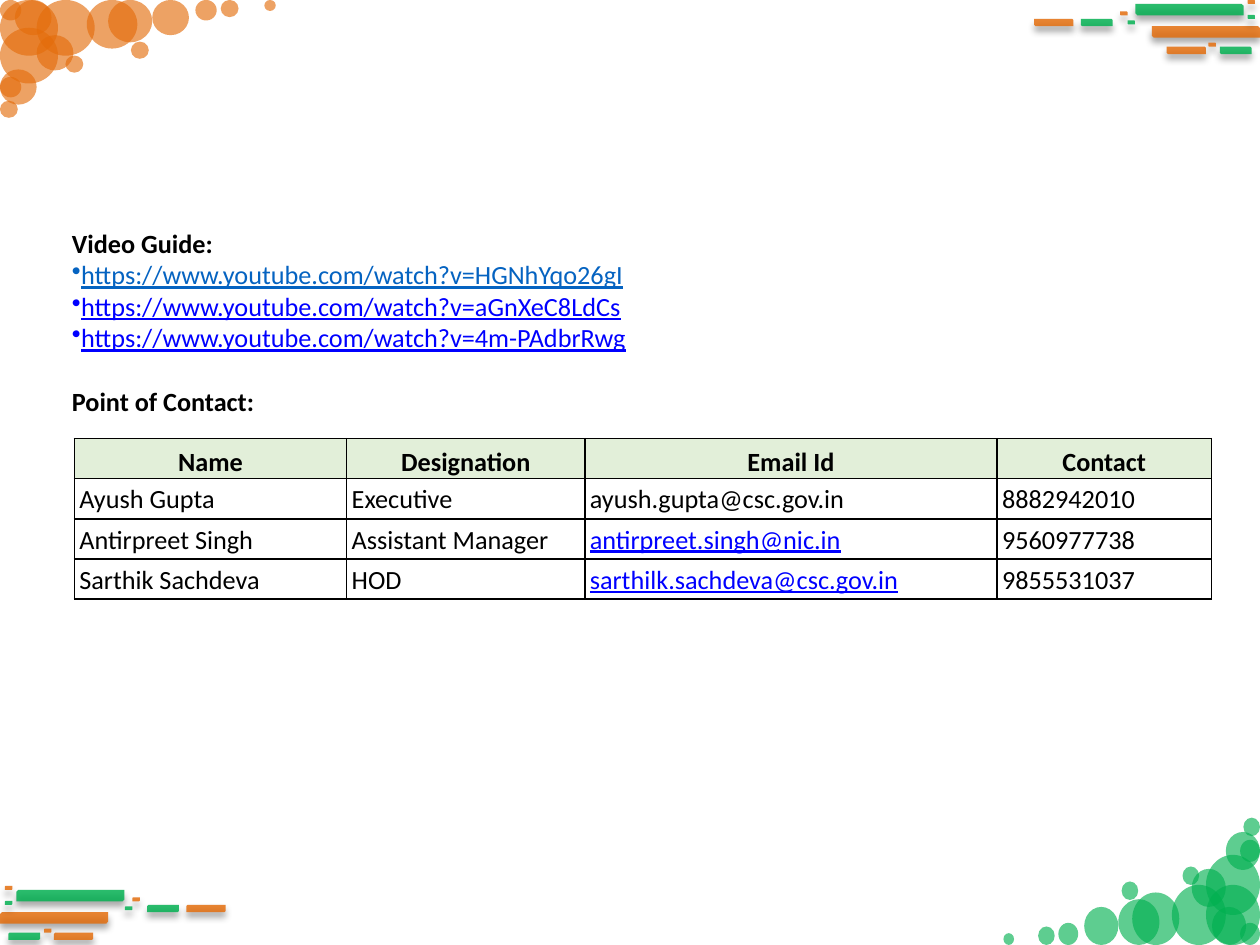
from lxml.etree import SubElement
from pptx import Presentation
from pptx.dml.color import RGBColor
from pptx.enum.shapes import MSO_SHAPE
from pptx.enum.text import MSO_ANCHOR, PP_ALIGN
from pptx.oxml.ns import qn
from pptx.util import Cm, Pt

GREEN = RGBColor(0x00, 0xB0, 0x50)
ORANGE = RGBColor(0xE4, 0x6C, 0x0A)
BLACK = RGBColor(0x00, 0x00, 0x00)
LINK_BLUE = RGBColor(0x00, 0x00, 0xFF)
LINK_TEAL = RGBColor(0x05, 0x63, 0xC1)
HEADER_FILL = RGBColor(0xE2, 0xEF, 0xD9)

SLIDE_W, SLIDE_H = 25.4, 19.05

# Content
HEADING = dict(bold=True, underline=False)
LINK = dict(bold=False, underline=True)
GUIDE = [  # text, format, colour, bulleted, space before
    ("Video Guide:", HEADING, BLACK, False, 0),
    ("https://www.youtube.com/watch?v=HGNhYqo26gI", LINK, LINK_TEAL, True, 0),
    ("https://www.youtube.com/watch?v=aGnXeC8LdCs", LINK, LINK_BLUE, True, 0),
    ("https://www.youtube.com/watch?v=4m-PAdbrRwg", LINK, LINK_BLUE, True, 0),
    ("Point of Contact:", HEADING, BLACK, False, 18.3),
]
CONTACTS = [
    ("Name", "Designation", "Email Id", "Contact"),
    ("Ayush Gupta", "Executive", "ayush.gupta@csc.gov.in", "8882942010"),
    ("Antirpreet Singh", "Assistant Manager", "antirpreet.singh@nic.in", "9560977738"),
    ("Sarthik Sachdeva", "HOD", "sarthilk.sachdeva@csc.gov.in", "9855531037"),
]
LINKED_EMAILS = {(2, 2), (3, 2)}
COLUMN_WIDTHS = (5.49, 4.8, 8.31, 4.32)
ROW_HEIGHT = 0.81

# Corner bars: left, top, size, colour (top right corner, in cm)
LONG, MIDDLE, SHORT, TINY = (2.18, 0.23), (0.79, 0.15), (0.64, 0.15), (0.15, 0.08)
BARS = [
    (22.89, 0.08, LONG, GREEN), (23.22, 0.53, LONG, ORANGE),
    (21.79, 0.38, SHORT, GREEN), (24.59, 0.94, SHORT, GREEN),
    (23.52, 0.94, MIDDLE, ORANGE), (20.85, 0.38, MIDDLE, ORANGE),
    (22.58, 0.23, TINY, ORANGE), (22.73, 0.41, TINY, GREEN),
    (24.36, 0.86, TINY, ORANGE), (25.15, 0.3, TINY, GREEN),
    (25.15, 0, TINY, ORANGE),
]
LOWER_BARS_DROP = 17.86

# Corner bubbles: left, top, width (top left corner, in cm)
BUBBLES = [
    (0.74, 0, 1.17), (1.75, 0, 1.02), (0.74, 0.71, 0.74), (2.18, 0, 0.89),
    (3.07, 0, 0.74), (0.3, 0, 0.74), (3.94, 0, 0.43), (0, 1.55, 0.43),
    (2.64, 0.84, 0.36), (1.32, 1.12, 0.36), (0, 2.03, 0.36), (5.33, 0, 0.23),
    (4.45, 0, 0.36), (0, 0, 0.43), (0, 0.56, 1.17), (0, 1.4, 0.74), (0, 0, 1.17),
]
BUBBLE_RATIO = 0.96
GREEN_SCALE_X, GREEN_SCALE_Y = 0.93, 1.08


def set_format(target, values):
    for attribute, value in values.items():
        setattr(target, attribute, value)


def add_alpha(colour_element, percent):
    SubElement(colour_element, qn("a:alpha"), val=str(percent * 1000))


def add_ornament(slide, preset, box, colour, opacity):
    ornament = slide.shapes.add_shape(preset, *map(Cm, box))
    ornament.shadow.inherit = False
    ornament.fill.solid()
    ornament.fill.fore_color.rgb = colour
    ornament.line.fill.background()
    add_alpha(ornament._element.spPr.find(".//" + qn("a:srgbClr")), opacity)
    return ornament


def add_bar(slide, left, top, size, colour, mirrored):
    bar = add_ornament(slide, MSO_SHAPE.SNIP_2_DIAG_RECTANGLE,
                       (left, top, *size), colour, 83)
    properties = bar._element.spPr
    if mirrored:
        properties.xfrm.set("flipH", "1")
    shadow = SubElement(properties.find(qn("a:effectLst")), qn("a:outerShdw"),
                        blurRad=str(Pt(4)), dist=str(Pt(3)), dir="5400000",
                        algn="t", rotWithShape="0")
    add_alpha(SubElement(shadow, qn("a:srgbClr"), val=str(BLACK)), 40)


def add_corners(slide):
    for left, top, size, colour in BARS:
        add_bar(slide, left, top, size, colour, False)
        add_bar(slide, SLIDE_W - left - size[0], top + LOWER_BARS_DROP,
                size, colour, True)
    for left, top, width in BUBBLES:
        height = width * BUBBLE_RATIO
        add_ornament(slide, MSO_SHAPE.OVAL, (left, top, width, height), ORANGE, 63)
        # The green cluster is the orange one turned into the opposite corner
        green_box = (SLIDE_W - GREEN_SCALE_X * (left + width),
                     SLIDE_H - GREEN_SCALE_Y * (top + height),
                     GREEN_SCALE_X * width, GREEN_SCALE_Y * height)
        add_ornament(slide, MSO_SHAPE.OVAL, green_box, GREEN, 63)


def write(paragraph, text, font_format, colour):
    run = paragraph.add_run()
    run.text = text
    set_format(run.font, dict(name="Calibri", size=Pt(15), **font_format))
    run.font.color.rgb = colour


def add_borders(cell):
    for side in ("lnL", "lnR", "lnT", "lnB"):
        border = SubElement(cell._tc.get_or_add_tcPr(), qn("a:" + side), w=str(Pt(1)))
        fill = SubElement(border, qn("a:solidFill"))
        SubElement(fill, qn("a:srgbClr"), val=str(BLACK))


def add_contacts(slide):
    contacts = slide.shapes.add_table(
        len(CONTACTS), len(COLUMN_WIDTHS), Cm(1.5), Cm(8.84),
        Cm(sum(COLUMN_WIDTHS)), Cm(ROW_HEIGHT * len(CONTACTS))).table
    set_format(contacts, dict(first_row=False, horz_banding=False))
    for column, width in zip(contacts.columns, COLUMN_WIDTHS):
        column.width = Cm(width)
    for r, entry in enumerate(CONTACTS):
        contacts.rows[r].height = Cm(ROW_HEIGHT)
        header = r == 0
        for c, text in enumerate(entry):
            cell = contacts.cell(r, c)
            set_format(cell, dict(
                margin_left=Cm(0.1), margin_right=Cm(0.1), margin_top=0, margin_bottom=0,
                vertical_anchor=MSO_ANCHOR.BOTTOM if header else MSO_ANCHOR.MIDDLE))
            add_borders(cell)
            if header:
                cell.fill.solid()
                cell.fill.fore_color.rgb = HEADER_FILL
            else:
                cell.fill.background()
            paragraph = cell.text_frame.paragraphs[0]
            set_format(paragraph, dict(
                line_spacing=1.07,
                alignment=PP_ALIGN.CENTER if header else PP_ALIGN.JUSTIFY))
            linked = (r, c) in LINKED_EMAILS
            write(paragraph, text, dict(bold=header, underline=linked),
                  LINK_BLUE if linked else BLACK)


def add_guide(slide):
    guide = slide.shapes.add_textbox(Cm(1.3), Cm(4.5), Cm(17.37), Cm(4.62)).text_frame
    set_format(guide, dict(
        word_wrap=True, vertical_anchor=MSO_ANCHOR.TOP, margin_left=Cm(0.15),
        margin_right=Cm(0.15), margin_top=Cm(0.08), margin_bottom=Cm(0.08)))
    for i, (text, font_format, colour, bulleted, gap) in enumerate(GUIDE):
        paragraph = guide.add_paragraph() if i else guide.paragraphs[0]
        if gap:
            paragraph.space_before = Pt(gap)
        if bulleted:
            SubElement(paragraph._p.get_or_add_pPr(), qn("a:buChar"), char="•")
        write(paragraph, text, font_format, colour)


def main():
    presentation = Presentation()
    set_format(presentation, dict(slide_width=Cm(SLIDE_W), slide_height=Cm(SLIDE_H)))
    slide = presentation.slides.add_slide(presentation.slide_layouts[6])
    add_corners(slide)
    add_contacts(slide)
    add_guide(slide)
    presentation.save("out.pptx")


if __name__ == "__main__":
    main()
